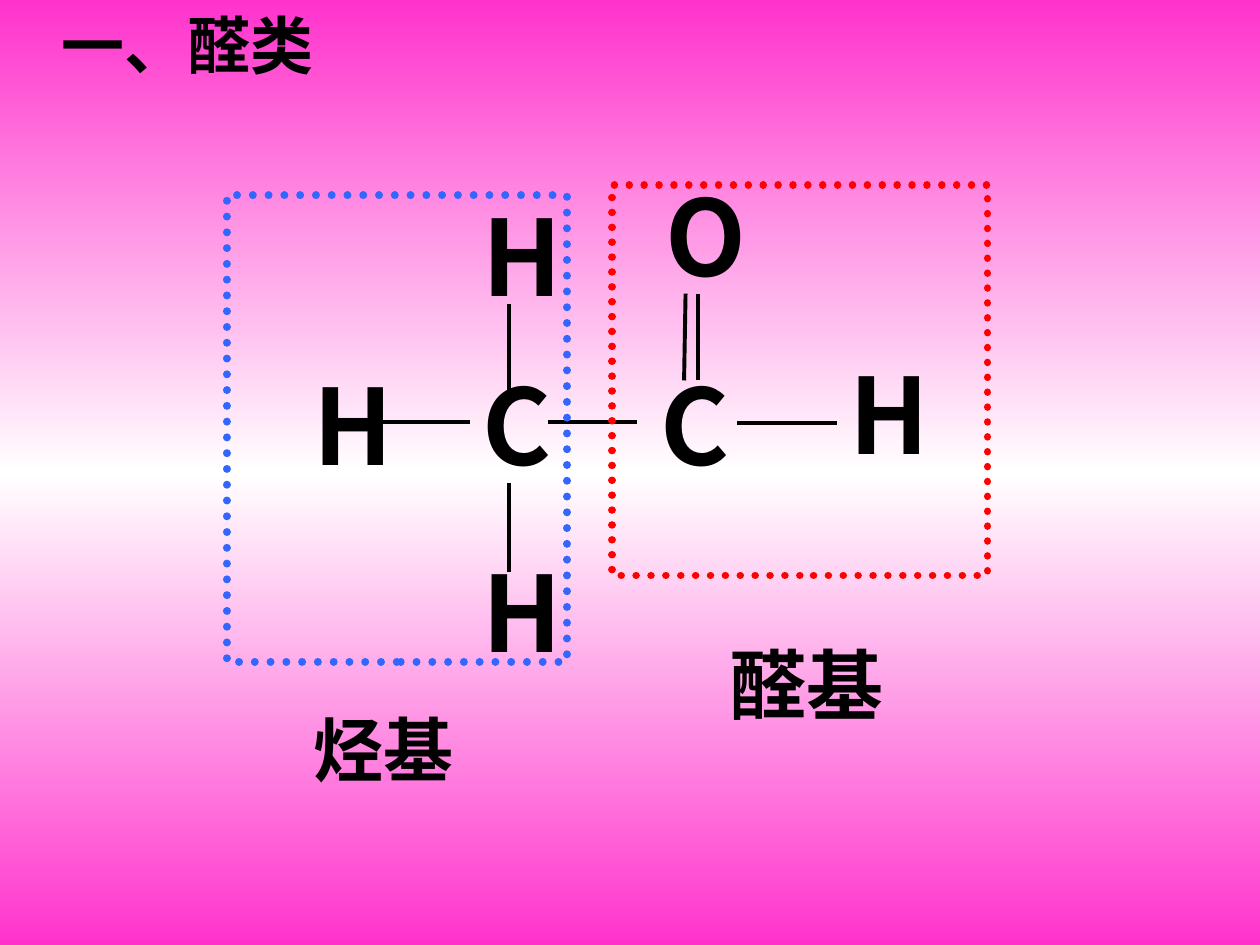
from copy import deepcopy

from lxml.etree import SubElement
from pptx import Presentation
from pptx.dml.color import RGBColor
from pptx.enum.dml import MSO_LINE_DASH_STYLE as Dash
from pptx.enum.shapes import MSO_CONNECTOR as Connector, MSO_SHAPE as Shape
from pptx.enum.text import MSO_AUTO_SIZE as AutoSize
from pptx.oxml.ns import qn
from pptx.util import Cm, Pt

PINK, WHITE, BLACK, RED, BLUE = "FF33CC", "FFFFFF", "000000", "FF0000", "3366FF"


def colour(hex_code):
    return RGBColor.from_string(hex_code)


def write(frame, text, *, size, font, color=BLACK, bold=True):
    run = frame.paragraphs[0].add_run()
    run.text = text
    run.font.size = Pt(size)
    run.font.bold = bold
    run.font.name = font
    run.font.color.rgb = colour(color)
    # Chinese characters take their font from a:ea
    SubElement(run.font._element, qn("a:ea"), typeface=font)


class Board:
    """Style and current slide; shapes go to the slide or to an open group."""
    heading_font = "Noto Sans CJK SC"
    label_font = "Arial"
    atom_size = 60
    atom_height = 2.79
    bond_width = 2.25

    def __init__(self, slide):
        self.slide = slide
        self.shapes = slide.shapes

    def background(self, *colors):
        fill = self.slide.background.fill
        fill.gradient()
        fill.gradient_angle = 270
        stop_list = next(self.slide.element.iter(qn("a:gsLst")))
        while len(stop_list) < len(colors):
            stop_list.append(deepcopy(stop_list[-1]))
        for i, (stop, color) in enumerate(zip(fill.gradient_stops, colors)):
            stop.position = i / (len(colors) - 1)
            stop.color.rgb = colour(color)

    def open_group(self):
        self.shapes = self.slide.shapes.add_group_shape().shapes

    def close_group(self):
        self.shapes = self.slide.shapes

    def text(self, text, left, top, width, height, **style):
        frame = self.shapes.add_textbox(Cm(left), Cm(top), Cm(width), Cm(height)).text_frame
        frame.word_wrap = True
        frame.auto_size = AutoSize.SHAPE_TO_FIT_TEXT
        write(frame, text, **style)

    def atom(self, symbol, left, top, width):
        self.text(symbol, left, top, width, self.atom_height,
                  size=self.atom_size, font=self.heading_font)

    def bond(self, x1, y1, x2, y2):
        bond = self.shapes.add_connector(Connector.STRAIGHT, Cm(x1), Cm(y1), Cm(x2), Cm(y2))
        bond.line.color.rgb = colour(BLACK)
        bond.line.width = Pt(self.bond_width)
        SubElement(bond._element.spPr, qn("a:effectLst"))

    def dotted_frame(self, left, top, width, height, color, weight):
        frame = self.shapes.add_shape(Shape.RECTANGLE, Cm(left), Cm(top), Cm(width), Cm(height))
        frame.shadow.inherit = False
        frame.fill.background()
        frame.line.color.rgb = colour(color)
        frame.line.width = Pt(weight)
        frame.line.dash_style = Dash.ROUND_DOT
        frame.line._get_or_add_ln().set("cap", "rnd")


def main():
    deck = Presentation()
    deck.slide_width, deck.slide_height = Cm(25.4), Cm(19.05)
    board = Board(deck.slides.add_slide(deck.slide_layouts[6]))
    board.background(PINK, WHITE, PINK)

    # Acetaldehyde molecule
    methyl_x, row_y = 9.47, 7.14
    methyl_bond_x, bond_y = 10.26, 8.51
    board.open_group()
    for symbol, left, top, width in [
        ("H", methyl_x, 10.92, 3.99),
        ("C", 13.06, row_y, 4.19),
        ("C", methyl_x, row_y, 3.61),
        ("O", 13.16, 3.33, 4.7),
        ("H", 6.07, row_y, 5.21),
        ("H", 16.87, 6.93, 4.39),
        ("H", methyl_x, 3.73, 3.61),
    ]:
        board.atom(symbol, left, top, width)
    for ends in [
        (methyl_bond_x, 6.12, methyl_bond_x, 7.87),
        (methyl_bond_x, 9.73, methyl_bond_x, 11.53),
        (9.47, bond_y, 7.67, bond_y),
        (11.05, bond_y, 12.85, bond_y),
        (14.86, 8.53, 16.87, 8.53),
        (13.79, 7.67, 13.82, 5.92),
        (14.07, 7.67, 14.07, 5.92),
    ]:
        board.bond(*ends)
    board.close_group()

    # Functional groups: aldehyde and hydrocarbon
    board.dotted_frame(12.34, 3.73, 7.57, 7.87, RED, 4.25)
    board.dotted_frame(4.57, 3.94, 6.86, 9.4, BLUE, 4.5)
    board.text("醛基", 14.45, 12.73, 7.01, 2.13, size=44, font=board.label_font)
    board.text("烃基", 6.07, 14.12, 5.38, 1.96, size=40, font=board.label_font)

    # Heading
    board.text("一、醛类", 0.99, 0, 6.93, 1.78, size=36, font=board.heading_font)

    deck.save("out.pptx")


if __name__ == "__main__":
    main()
